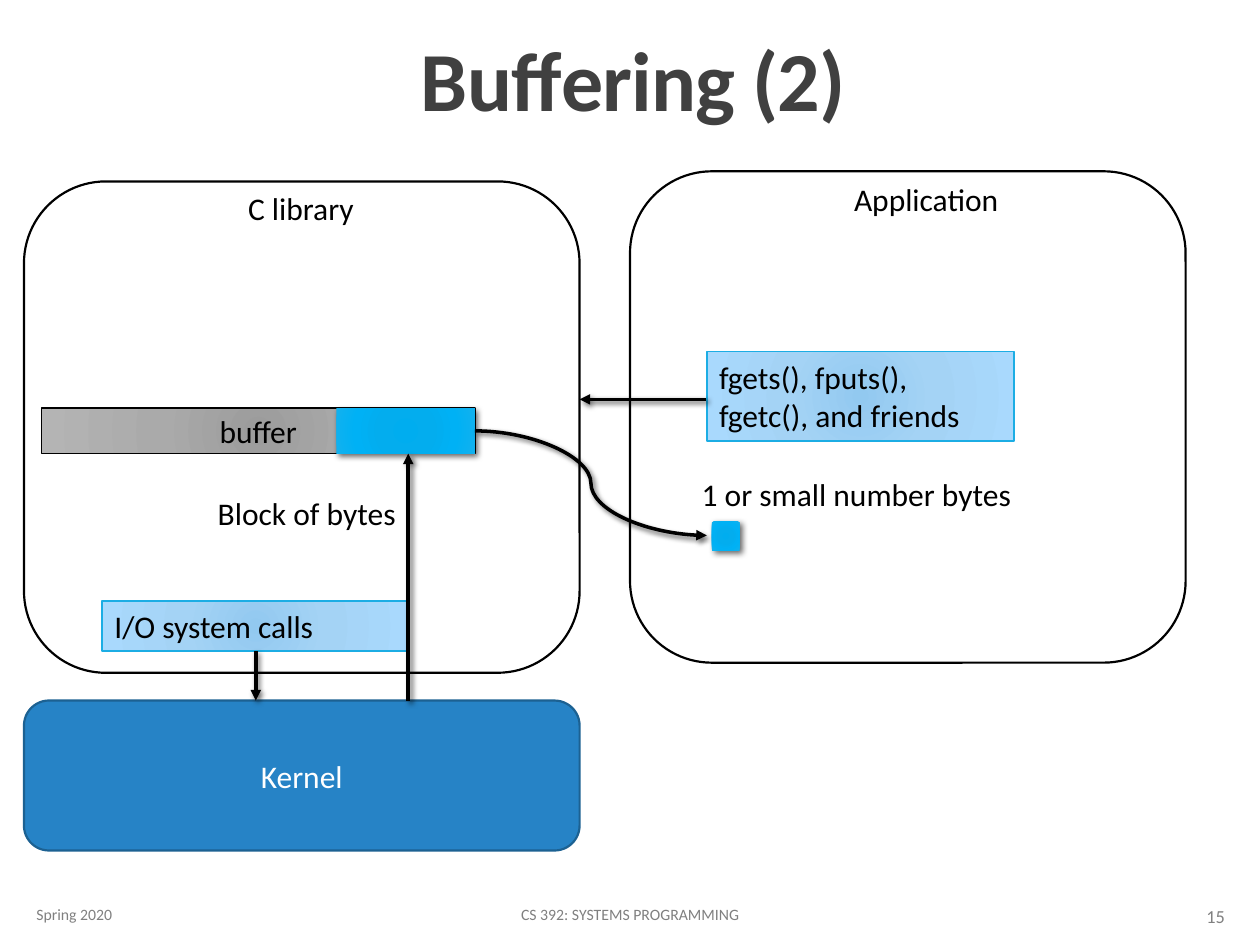
from lxml import etree
from pptx import Presentation
from pptx.dml.color import RGBColor
from pptx.enum.shapes import MSO_CONNECTOR, MSO_SHAPE
from pptx.enum.text import MSO_ANCHOR, MSO_AUTO_SIZE, PP_ALIGN
from pptx.oxml.ns import qn
from pptx.util import Inches, Pt

RECT, ROUND = MSO_SHAPE.RECTANGLE, MSO_SHAPE.ROUNDED_RECTANGLE
STRAIGHT, CURVE = MSO_CONNECTOR.STRAIGHT, MSO_CONNECTOR.CURVE
LEFT, CENTER, RIGHT = PP_ALIGN.LEFT, PP_ALIGN.CENTER, PP_ALIGN.RIGHT
TOP, MIDDLE, BOTTOM = MSO_ANCHOR.TOP, MSO_ANCHOR.MIDDLE, MSO_ANCHOR.BOTTOM
FIT = MSO_AUTO_SIZE.SHAPE_TO_FIT_TEXT

color = RGBColor.from_string
PALE_BLUE = [(0, "92C9F0"), (45, "A4D3F5"), (100, "A9D9FD")]
GRAY = [(0, "9C9C9C"), (45, "AAAAAA"), (100, "B4B4B4")]
BRIGHT_BLUE = [(0, "00ADEF"), (34, "03ADEE"), (70, "00B1F5"), (100, "12B1EE")]


def write(part, text, size=18, hue="000000", align=LEFT, anchor=TOP):
    frame = part.text_frame
    frame.vertical_anchor = anchor
    paragraph = frame.paragraphs[0]
    paragraph.text = text
    paragraph.alignment = align
    paragraph.font.name = "Calibri"
    paragraph.font.size = Pt(size)
    paragraph.font.color.rgb = color(hue)
    return paragraph


def cast_shadow(part, blur):
    props = part._element.spPr
    effects = props.find(qn("a:effectLst"))
    if effects is None:
        effects = etree.SubElement(props, qn("a:effectLst"))
    shadow = etree.SubElement(effects, qn("a:outerShdw"), blurRad=str(Pt(blur)),
                              dist=str(Pt(2)), dir="2700000", rotWithShape="0")
    black = etree.SubElement(shadow, qn("a:srgbClr"), val="000000")
    etree.SubElement(black, qn("a:alpha"), val="60000")


prs = Presentation()
prs.slide_width, prs.slide_height = Inches(10), Inches(7.5)
slide = prs.slides.add_slide(prs.slide_layouts[6])
shapes = slide.shapes

boxes = {}
for name, kind, place, fill, line, weight in [
    ("application", ROUND, (5, 1.36, 4.41, 3.9), "FFFFFF", "000000", 1.25),
    ("library", ROUND, (0.19, 1.44, 4.41, 3.9), "FFFFFF", "000000", 1.25),
    ("calls", RECT, (5.61, 2.79, 2.44, 0.71), PALE_BLUE, "1CADE4", 1),
    ("buffer", RECT, (0.33, 3.24, 3.44, 0.36), GRAY, "000000", 1),
    ("system", RECT, (0.81, 4.77, 2.44, 0.4), PALE_BLUE, "1CADE4", 1),
    ("kernel", ROUND, (0.19, 5.56, 4.41, 1.19), "2683C6", "1C6192", 1.25),
    ("byte", RECT, (5.65, 4.14, 0.22, 0.23), BRIGHT_BLUE, None, 0),
    ("block", RECT, (2.67, 3.24, 1.1, 0.36), BRIGHT_BLUE, None, 0),
]:
    box = boxes[name] = shapes.add_shape(kind, *map(Inches, place))
    box.shadow.inherit = False
    if line:
        box.line.color.rgb = color(line)
        box.line.width = Pt(weight)
    else:
        box.line.fill.background()
        cast_shadow(box, 3.5)
    if isinstance(fill, str):
        box.fill.solid()
        box.fill.fore_color.rgb = color(fill)
    else:
        gradient = etree.Element(qn("a:gradFill"), rotWithShape="1")
        stops = etree.SubElement(gradient, qn("a:gsLst"))
        for position, hue in fill:
            stop = etree.SubElement(stops, qn("a:gs"), pos=str(position * 1000))
            etree.SubElement(stop, qn("a:srgbClr"), val=hue)
        radial = etree.SubElement(gradient, qn("a:path"))
        radial.set("path", "circle")
        etree.SubElement(radial, qn("a:fillToRect"), l="50000", t="50000", r="50000", b="50000")
        box._element.spPr.find(qn("a:prstGeom")).addnext(gradient)

write(boxes["calls"], "fgets(), fputs(), fgetc(), and friends")
write(boxes["system"], "I/O system calls")
write(boxes["buffer"], "buffer", align=CENTER, anchor=MIDDLE)
write(boxes["kernel"], "Kernel", hue="FFFFFF", align=CENTER, anchor=MIDDLE)
for name in ("calls", "system"):
    boxes[name].text_frame.auto_size = FIT

heading = shapes.add_textbox(Inches(0.9), Inches(0.04), Inches(8.25), Inches(1.03))
heading.text_frame.word_wrap = True
title = write(heading, "Buffering (2)", 48, "404040", CENTER, BOTTOM)
title.font.bold = True
title.line_spacing = 0.85
title.runs[0].font._element.set("spc", "-50")

for text, left, top, width, size, align in [
    ("Spring 2020", 0.19, 7.06, 2.03, 9, LEFT),
    ("CS 392: SYSTEMS PROGRAMMING", 3.02, 7.06, 3.96, 9, CENTER),
    ("15", 8.74, 7.07, 1.08, 10.5, RIGHT),
]:
    footer = shapes.add_textbox(Inches(left), Inches(top), Inches(width), Inches(0.4))
    footer.text_frame.word_wrap = True
    write(footer, text, size, "808080", align, MIDDLE)

for text, left, top, width in [
    ("C library", 1.87, 1.45, 1.05),
    ("Application", 6.68, 1.38, 1.36),
    ("Block of bytes", 1.63, 3.87, 1.63),
    ("1 or small number bytes", 5.47, 3.72, 2.69),
]:
    label = shapes.add_textbox(Inches(left), Inches(top), Inches(width), Inches(0.4))
    label.text_frame.word_wrap = False
    label.text_frame.auto_size = FIT
    write(label, text)
shapes.add_group_shape([boxes["byte"], label])

for kind, ends, source, side in [
    (STRAIGHT, (5.6, 3.17, 4.6, 3.17), None, None),
    (STRAIGHT, (2.03, 5.17, 2.03, 5.56), "system", 2),
    (STRAIGHT, (3.24, 5.56, 3.24, 3.6), None, None),
    (CURVE, (3.77, 3.42, 5.61, 4.25), "block", 3),
]:
    arrow = shapes.add_connector(kind, *map(Inches, ends))
    if source:
        arrow.begin_connect(boxes[source], side)
    arrow.line.color.rgb = color("000000")
    arrow.line.width = Pt(2)
    etree.SubElement(arrow.line._get_or_add_ln(), qn("a:tailEnd"), type="triangle")
    cast_shadow(arrow, 3)

prs.save("out.pptx")
